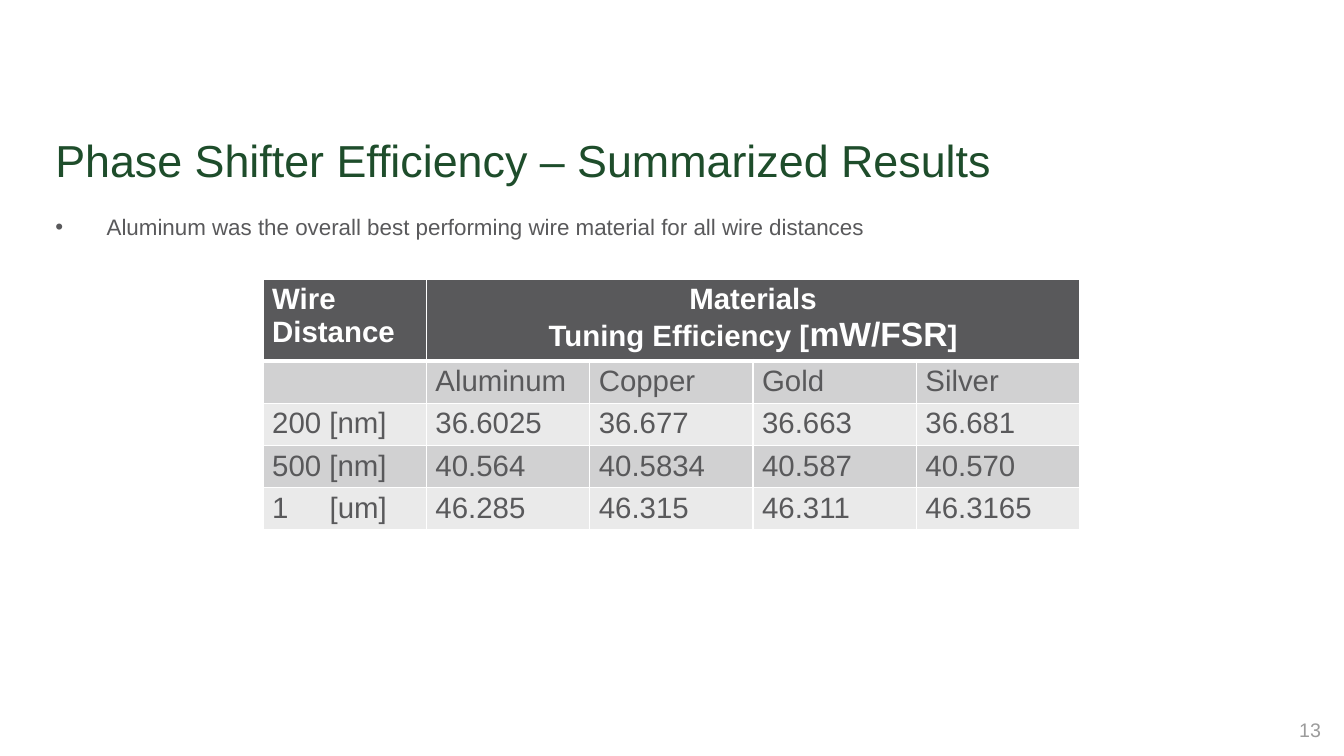
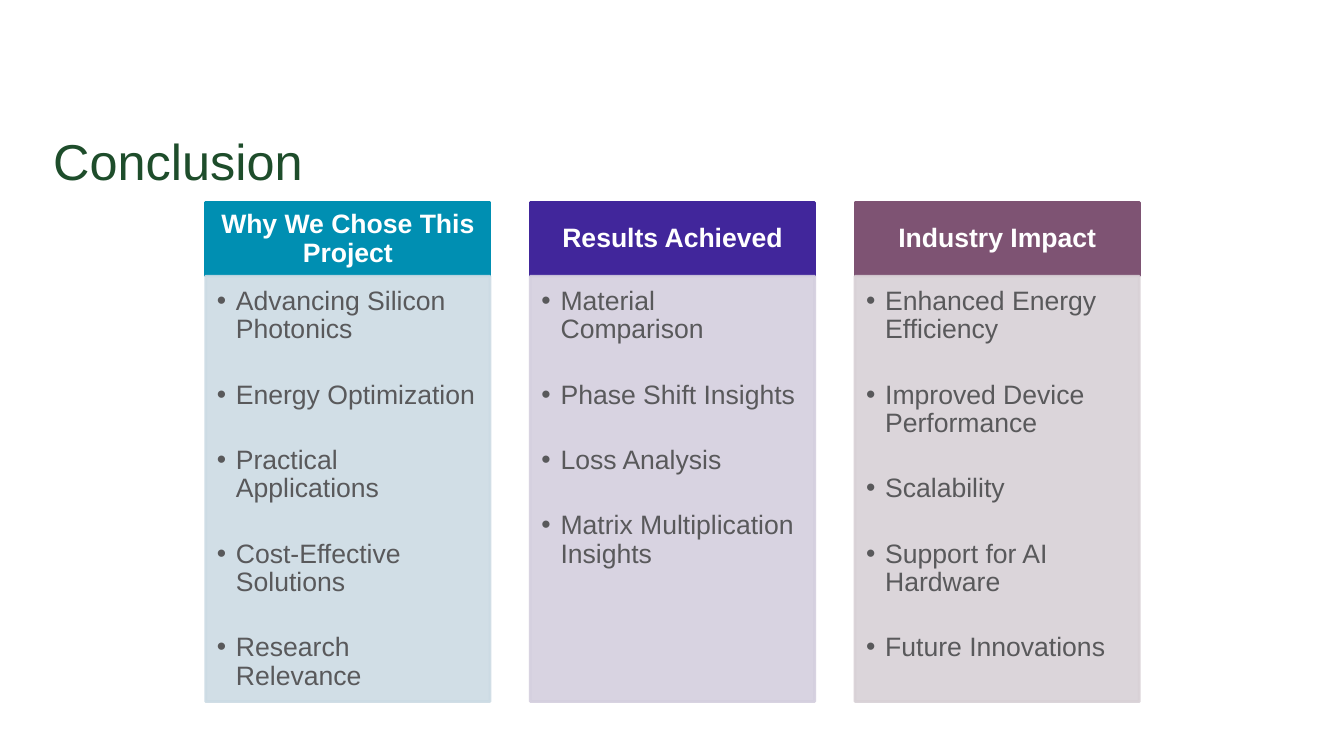
from lxml.etree import SubElement
from pptx import Presentation
from pptx.dml.color import RGBColor
from pptx.enum.shapes import MSO_SHAPE
from pptx.enum.text import MSO_ANCHOR, PP_ALIGN
from pptx.oxml import parse_xml
from pptx.oxml.ns import nsdecls, qn
from pptx.util import Inches, Pt

FONT = "Arial"
COLORS = {
    "title": "1E4D2B",
    "text": "59595B",
    "white": "FFFFFF",
    "page": "9B9B9B",
    "band_dark": "D1D1D2",
    "band_light": "EAEAEA",
    "teal": "008FB2",
    "teal_pale": "CCDBE4",
    "violet": "41269B",
    "violet_pale": "D4CFDE",
    "plum": "7E5373",
    "plum_pale": "D8D1D6",
}

RESULTS_TITLE = "Phase Shifter Efficiency – Summarized Results"
FINDING = "Aluminum was the overall best performing wire material for all wire distances"
PAGE_NUMBER = "13"
HEADER_LINES = [
    [("Materials", 21)],
    [("Tuning Efficiency [", 21), ("mW/FSR", 24), ("]", 21)],
]
RESULTS = [
    ("", "Aluminum", "Copper", "Gold", "Silver"),
    ("200 [nm]", "36.6025", "36.677", "36.663", "36.681"),
    ("500 [nm]", "40.564", "40.5834", "40.587", "40.570"),
    ("1\t[um]", "46.285", "46.315", "46.311", "46.3165"),
]

CONCLUSION_TITLE = "Conclusion"
CONCLUSIONS = [
    ("Why We Chose This Project", "teal", [
        "Advancing Silicon Photonics",
        "Energy Optimization",
        "Practical Applications",
        "Cost-Effective Solutions",
        "Research Relevance",
    ]),
    ("Results Achieved", "violet", [
        "Material Comparison",
        "Phase Shift Insights",
        "Loss Analysis",
        "Matrix Multiplication Insights",
    ]),
    ("Industry Impact", "plum", [
        "Enhanced Energy Efficiency",
        "Improved Device Performance",
        "Scalability",
        "Support for AI Hardware",
        "Future Innovations",
    ]),
]


def rgb(name):
    return RGBColor.from_string(COLORS[name])


def style(paragraph, size, color, bold=False, align=PP_ALIGN.LEFT):
    paragraph.alignment = align
    font = paragraph.font
    font.name = FONT
    font.size = Pt(size)
    font.bold = bold
    font.color.rgb = rgb(color)


def add_bullet(paragraph, indent):
    properties = paragraph._p.get_or_add_pPr()
    properties.set("marL", str(Inches(indent)))
    properties.set("indent", str(-Inches(indent)))
    SubElement(properties, qn("a:buFont"), typeface=FONT)
    SubElement(properties, qn("a:buChar"), char="•")


def add_tab(paragraph, position):
    tabs = SubElement(paragraph._p.get_or_add_pPr(), qn("a:tabLst"))
    SubElement(tabs, qn("a:tab"), pos=str(Inches(position)), algn="l")


def set_margins(target, left, top, right, bottom):
    target.margin_left, target.margin_top = Inches(left), Inches(top)
    target.margin_right, target.margin_bottom = Inches(right), Inches(bottom)


def add_text(slide, box, text, size, color, margin=0.1, align=PP_ALIGN.LEFT,
             anchor=MSO_ANCHOR.TOP, bullet_indent=None, line_spacing=None):
    frame = slide.shapes.add_textbox(*map(Inches, box)).text_frame
    frame.word_wrap = True
    frame.vertical_anchor = anchor
    set_margins(frame, margin, margin, margin, margin)
    paragraph = frame.paragraphs[0]
    paragraph.text = text
    if bullet_indent:
        add_bullet(paragraph, bullet_indent)
    if line_spacing:
        paragraph.line_spacing = line_spacing
    style(paragraph, size, color, align=align)


def add_title(slide, text, size, left, top):
    add_text(slide, (left, top, 11.96, 0.8), text, size, "title")


def format_cell(cell, fill, bottom_width=1):
    set_margins(cell, 0.09, 0.04, 0.09, 0.02)
    cell.fill.solid()
    cell.fill.fore_color.rgb = rgb(fill)
    widths = {"lnL": 1, "lnR": 1, "lnT": 1, "lnB": bottom_width}
    for position, (side, width) in enumerate(widths.items()):
        border = parse_xml(
            f'<a:{side} {nsdecls("a")} w="{Pt(width)}"><a:solidFill>'
            f'<a:srgbClr val="{COLORS["white"]}"/></a:solidFill></a:{side}>')
        cell._tc.get_or_add_tcPr().insert(position, border)


def add_results_table(slide):
    row_heights = [0.78] + [0.42] * len(RESULTS)
    column_count = len(RESULTS[0])
    frame = slide.shapes.add_table(
        len(row_heights), column_count, Inches(2.61), Inches(2.77),
        Inches(1.62 * column_count), Inches(sum(row_heights)))
    table = frame.table
    for row, height in zip(table.rows, row_heights):
        row.height = Inches(height)

    for column in range(column_count):
        format_cell(table.cell(0, column), "text", bottom_width=3)
    table.cell(0, 1).merge(table.cell(0, column_count - 1))
    distance = table.cell(0, 0).text_frame.paragraphs[0]
    distance.text = "Wire Distance"
    style(distance, 21, "white", bold=True)
    header = table.cell(0, 1).text_frame
    header.add_paragraph()
    for paragraph, runs in zip(header.paragraphs, HEADER_LINES):
        style(paragraph, 21, "white", bold=True, align=PP_ALIGN.CENTER)
        for text, size in runs:
            run = paragraph.add_run()
            run.text = text
            run.font.size = Pt(size)

    for row, values in enumerate(RESULTS, start=1):
        for column, value in enumerate(values):
            cell = table.cell(row, column)
            format_cell(cell, "band_dark" if row % 2 else "band_light")
            paragraph = cell.text_frame.paragraphs[0]
            paragraph.text = value
            if "\t" in value:
                add_tab(paragraph, 0.57)
            style(paragraph, 21, "text")


def add_panel(slide, box, color, margins, anchor, alpha=None):
    panel = slide.shapes.add_shape(MSO_SHAPE.RECTANGLE, *map(Inches, box))
    panel.shadow.inherit = False
    panel.line.width = Pt(2)
    for fill in (panel.fill, panel.line.fill):
        fill.solid()
        fill.fore_color.rgb = rgb(color)
    if alpha:
        for color_element in panel._element.spPr.iter(qn("a:srgbClr")):
            SubElement(color_element, qn("a:alpha"), val=str(alpha * 1000))
    frame = panel.text_frame
    frame.word_wrap = True
    frame.vertical_anchor = anchor
    set_margins(frame, *margins)
    return frame


def add_conclusion_column(slide, left, heading, color, points):
    top, width, heading_height, body_height = 2.01, 2.82, 0.73, 4.22
    frame = add_panel(slide, (left, top, width, heading_height), color,
                      (0.15, 0.08, 0.15, 0.08), MSO_ANCHOR.MIDDLE)
    paragraph = frame.paragraphs[0]
    paragraph.text = heading
    paragraph.line_spacing = 0.9
    style(paragraph, 19, "white", bold=True, align=PP_ALIGN.CENTER)

    frame = add_panel(slide, (left, top + heading_height, width, body_height),
                      color + "_pale", (0.11, 0.11, 0.11, 0.11),
                      MSO_ANCHOR.TOP, alpha=90)
    for index, point in enumerate(points):
        paragraph = frame.add_paragraph() if index else frame.paragraphs[0]
        paragraph.text = point
        add_bullet(paragraph, 0.19)
        paragraph.line_spacing = 0.9
        paragraph.space_after = Pt(26)
        style(paragraph, 19, "text")


def build_results(slide):
    add_title(slide, RESULTS_TITLE, 32, 0.45, 1.22)
    add_text(slide, (0.45, 1.96, 11.96, 0.5), FINDING, 16, "text",
             bullet_indent=0.51, line_spacing=1.2)
    add_results_table(slide)
    add_text(slide, (12.69, 7.12, 0.51, 0.24), PAGE_NUMBER, 14, "page",
             align=PP_ALIGN.RIGHT, anchor=MSO_ANCHOR.MIDDLE)


def build_conclusion(slide):
    add_title(slide, CONCLUSION_TITLE, 36, 0.43, 1.19)
    for index, (heading, color, points) in enumerate(CONCLUSIONS):
        add_conclusion_column(slide, 2.04 + 3.22 * index, heading, color, points)


def main():
    presentation = Presentation()
    presentation.slide_width = Inches(13.33)
    presentation.slide_height = Inches(7.5)
    for build in (build_results, build_conclusion):
        build(presentation.slides.add_slide(presentation.slide_layouts[6]))
    presentation.save("out.pptx")


if __name__ == "__main__":
    main()
